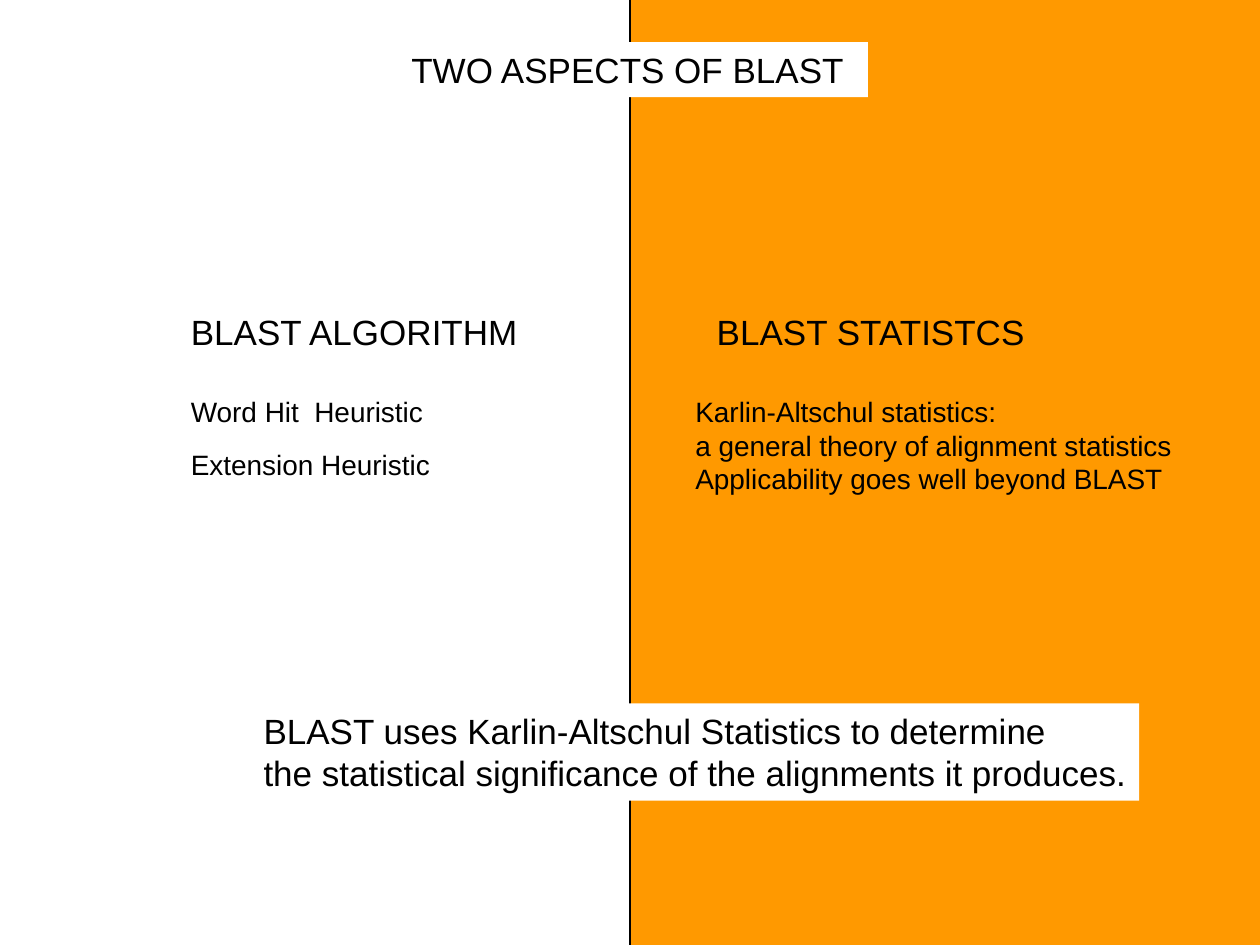
from pptx import Presentation
from pptx.dml.color import RGBColor
from pptx.enum.shapes import MSO_CONNECTOR, MSO_SHAPE
from pptx.enum.text import MSO_ANCHOR, MSO_AUTO_SIZE, PP_ALIGN
from pptx.oxml.ns import qn
from pptx.util import Pt
from lxml.etree import SubElement

BLACK = RGBColor(0x00, 0x00, 0x00)
WHITE = RGBColor(0xFF, 0xFF, 0xFF)
ORANGE = RGBColor(0xFF, 0x99, 0x00)

WIDTH, HEIGHT = 720, 540
MIDDLE = WIDTH / 2
HEADING_TOP, DETAIL_TOP = 174, 222
LEFT_COLUMN = 102

HEADING = {"name": "Arial", "size": Pt(20)}
DETAIL = {"name": "Arial", "size": Pt(16)}

prs = Presentation()
prs.slide_width, prs.slide_height = Pt(WIDTH), Pt(HEIGHT)
s = prs.slides.add_slide(prs.slide_layouts[6])

# Orange right half and the dividing line
half = s.shapes.add_shape(MSO_SHAPE.RECTANGLE, Pt(MIDDLE), Pt(0), Pt(MIDDLE), Pt(HEIGHT))
half.shadow.inherit = False
half.fill.solid()
half.fill.fore_color.rgb = ORANGE
half.line.fill.background()

divider = s.shapes.add_connector(MSO_CONNECTOR.STRAIGHT, Pt(MIDDLE), Pt(0), Pt(MIDDLE), Pt(HEIGHT))
divider.line.color.rgb = BLACK
divider.line.width = Pt(0.75)
SubElement(divider._element.spPr, qn("a:effectLst"))

# Text: left, top, width, height, font, fill, lines
texts = [
    (LEFT_COLUMN, HEADING_TOP, 202.5, 31.5, HEADING, None, ["BLAST ALGORITHM"]),
    (402.5, HEADING_TOP, 193.5, 31.5, HEADING, None, ["BLAST STATISTCS"]),
    (LEFT_COLUMN, DETAIL_TOP, 148, 26.5, DETAIL, None, ["Word Hit  Heuristic"]),
    (LEFT_COLUMN, 252, 151, 26.5, DETAIL, None, ["Extension Heuristic"]),
    (390.25, DETAIL_TOP, 287, 65, DETAIL, None, [
        "Karlin-Altschul statistics:",
        "a general theory of alignment statistics",
        "Applicability goes well beyond BLAST",
    ]),
    (228, 24, 268, 31.5, HEADING, WHITE, ["TWO ASPECTS OF BLAST"]),
    (143.5, 402, 507.5, 55.5, HEADING, WHITE, [
        "BLAST uses Karlin-Altschul Statistics to determine",
        "the statistical significance of the alignments it produces.",
    ]),
]

for left, top, width, height, font, fill, lines in texts:
    sp = s.shapes.add_textbox(Pt(left), Pt(top), Pt(width), Pt(height))
    if fill is not None:
        sp.fill.solid()
        sp.fill.fore_color.rgb = fill
    tf = sp.text_frame
    tf.word_wrap = False
    tf.auto_size = MSO_AUTO_SIZE.NONE
    tf.vertical_anchor = MSO_ANCHOR.TOP
    tf.margin_right = Pt(2)  # room for the longest line to stay whole
    for i, line in enumerate(lines):
        p = tf.add_paragraph() if i else tf.paragraphs[0]
        p.alignment = PP_ALIGN.LEFT
        r = p.add_run()
        r.text = line
        for name, value in font.items():
            setattr(r.font, name, value)
        r.font.color.rgb = BLACK

prs.save("out.pptx")
